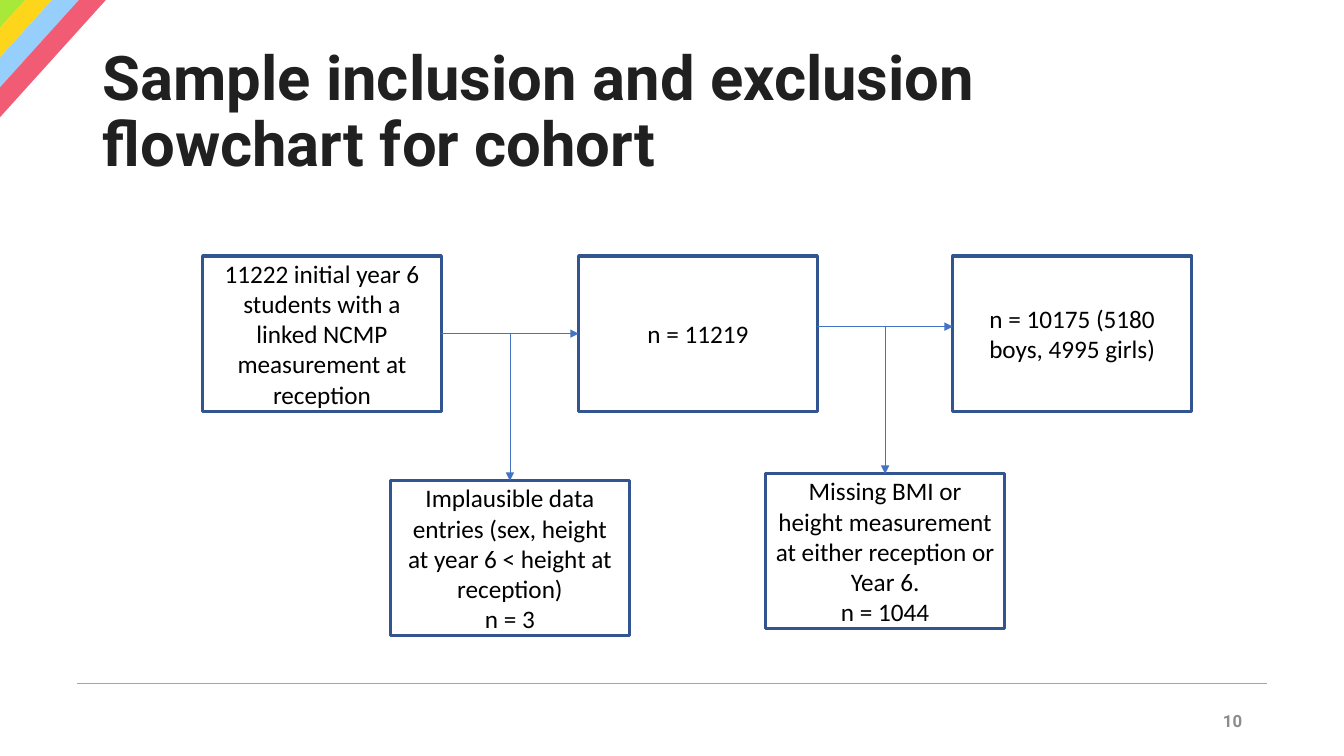
from lxml.etree import SubElement
from pptx import Presentation
from pptx.dml.color import RGBColor
from pptx.enum.shapes import MSO_CONNECTOR, MSO_SHAPE
from pptx.enum.text import MSO_ANCHOR, PP_ALIGN
from pptx.oxml.ns import qn
from pptx.util import Pt

COLORS = {
    "stripes": ["A8E838", "FDD51B", "96CEFC", "F15B74"],
    "title": "202020",
    "number": "8C8C8C",
    "rule": "A5A5A5",
    "border": "325491",
    "arrow": "4472C4",
    "white": "FFFFFF",
    "black": "000000",
}
BOX_WIDTH, BOX_HEIGHT = 170.6, 110.9
DROP = 105.1

STAGES = [
    (144.7, ["11222 initial year 6 students with a linked NCMP measurement at reception"]),
    (413.3, ["n = 11219"]),
    (680.6, ["n = 10175 (5180 boys, 4995 girls)"]),
]
EXCLUSIONS = [
    (55.4, ["Implausible data entries (sex, height at year 6 < height at reception)", "n = 3"]),
    (50.4, ["Missing BMI or height measurement at either reception or Year 6.", "n = 1044"]),
]


def rgb(name):
    return RGBColor.from_string(COLORS.get(name, name))


def write_text(frame, lines, font_name, size, color, align, bold=False):
    frame.word_wrap = True
    frame.vertical_anchor = MSO_ANCHOR.MIDDLE
    for index, line in enumerate(lines):
        para = frame.paragraphs[0] if index == 0 else frame.add_paragraph()
        para.text = line
        para.alignment = align
        para.font.name = font_name
        para.font.size = Pt(size)
        para.font.bold = bold
        para.font.color.rgb = rgb(color)


def add_line(page, start, end, color, arrow=False):
    line = page.shapes.add_connector(
        MSO_CONNECTOR.STRAIGHT, *(Pt(value) for value in (*start, *end)))
    line.line.color.rgb = rgb(color)
    line.line.width = Pt(0.5)
    properties = line.line._get_or_add_ln()
    if arrow:
        SubElement(properties, qn("a:tailEnd"), type="triangle")
    SubElement(properties.getparent(), qn("a:effectLst"))


def add_corner_stripes(page, left, top):
    inner = (0, 0)
    for index, color in enumerate(COLORS["stripes"]):
        outer = (18 + 19.2 * index, 19.8 + 21.3 * index)
        builder = page.shapes.build_freeform(Pt(left + inner[0]), Pt(top))
        builder.add_line_segments([
            (Pt(left + outer[0]), Pt(top)),
            (Pt(left), Pt(top + outer[1])),
            (Pt(left), Pt(top + inner[1])),
        ])
        stripe = builder.convert_to_shape()
        stripe.shadow.inherit = False
        stripe.fill.solid()
        stripe.fill.fore_color.rgb = rgb(color)
        stripe.line.fill.background()
        inner = outer


def add_title(page, left, top, width, height):
    box = page.shapes.add_textbox(Pt(left), Pt(top), Pt(width), Pt(height))
    write_text(box.text_frame, ["Sample inclusion and exclusion flowchart for cohort"],
               "Roboto", 44, "title", PP_ALIGN.LEFT, bold=True)
    box.text_frame.paragraphs[0].line_spacing = 0.9


def add_footer(page, left, top, width):
    add_line(page, (left, top), (left + width, top), "rule")
    box = page.shapes.add_textbox(
        Pt(left + width - 226.8), Pt(top + 12.2), Pt(216), Pt(28.8))
    write_text(box.text_frame, ["10"], "Roboto", 12, "number", PP_ALIGN.RIGHT, bold=True)


def add_flow_box(page, left, top, lines):
    box = page.shapes.add_shape(
        MSO_SHAPE.RECTANGLE, Pt(left), Pt(top), Pt(BOX_WIDTH), Pt(BOX_HEIGHT))
    box.shadow.inherit = False
    box.fill.solid()
    box.fill.fore_color.rgb = rgb("white")
    box.line.color.rgb = rgb("border")
    box.line.width = Pt(2.25)
    write_text(box.text_frame, lines, "Calibri", 18, "black", PP_ALIGN.CENTER)


def add_flowchart(page, top):
    for left, lines in STAGES:
        add_flow_box(page, left, top, lines)
    for (before, _), (after, _), (offset, lines) in zip(STAGES, STAGES[1:], EXCLUSIONS):
        start = before + BOX_WIDTH
        middle = (start + after) / 2
        level = top + offset
        add_flow_box(page, middle - BOX_WIDTH / 2, level + DROP, lines)
        add_line(page, (start, level), (after, level), "arrow", arrow=True)
        add_line(page, (middle, level), (middle, level + DROP), "arrow", arrow=True)


def main():
    deck = Presentation()
    deck.slide_width, deck.slide_height = Pt(960), Pt(540)
    page = deck.slides.add_slide(deck.slide_layouts[6])
    add_corner_stripes(page, 0, 0)
    add_title(page, 66.2, 28.8, 828, 104.4)
    add_flowchart(page, 182.9)
    add_footer(page, 54.9, 488.2, 850.3)
    deck.save("out.pptx")


if __name__ == "__main__":
    main()
